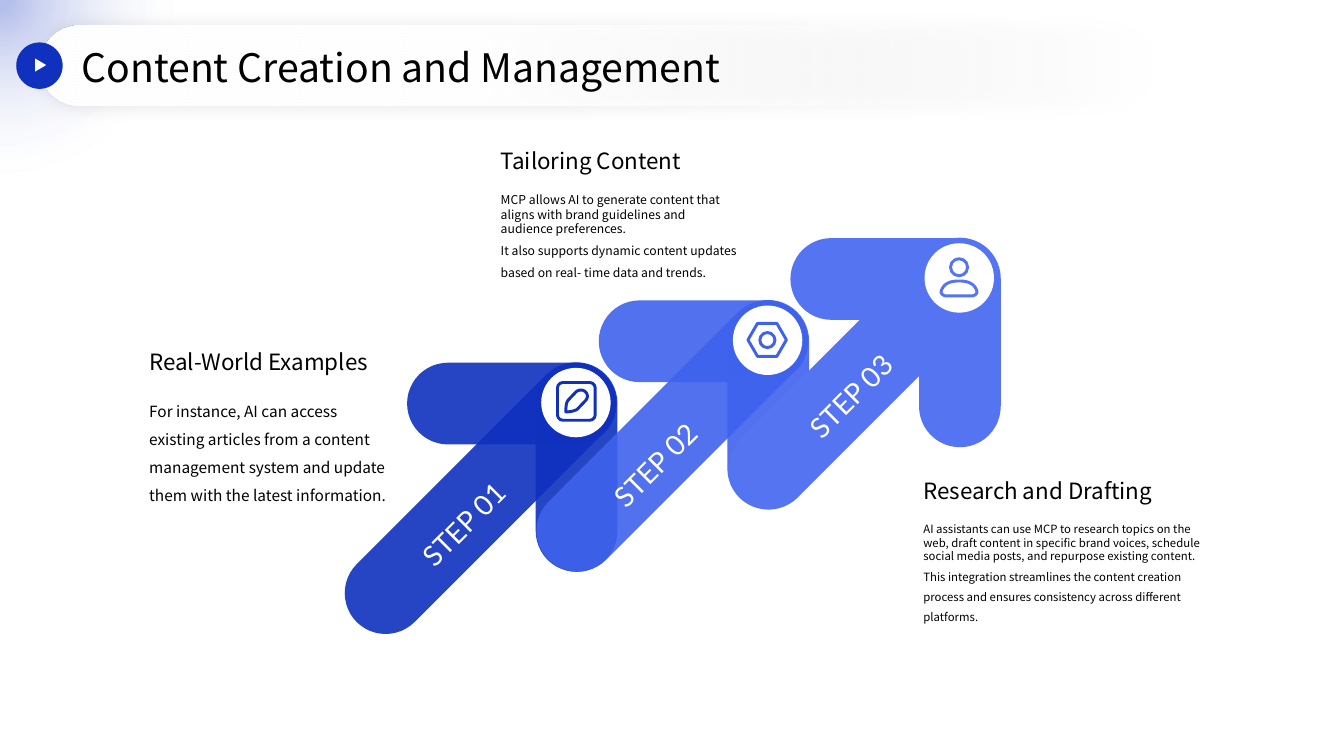
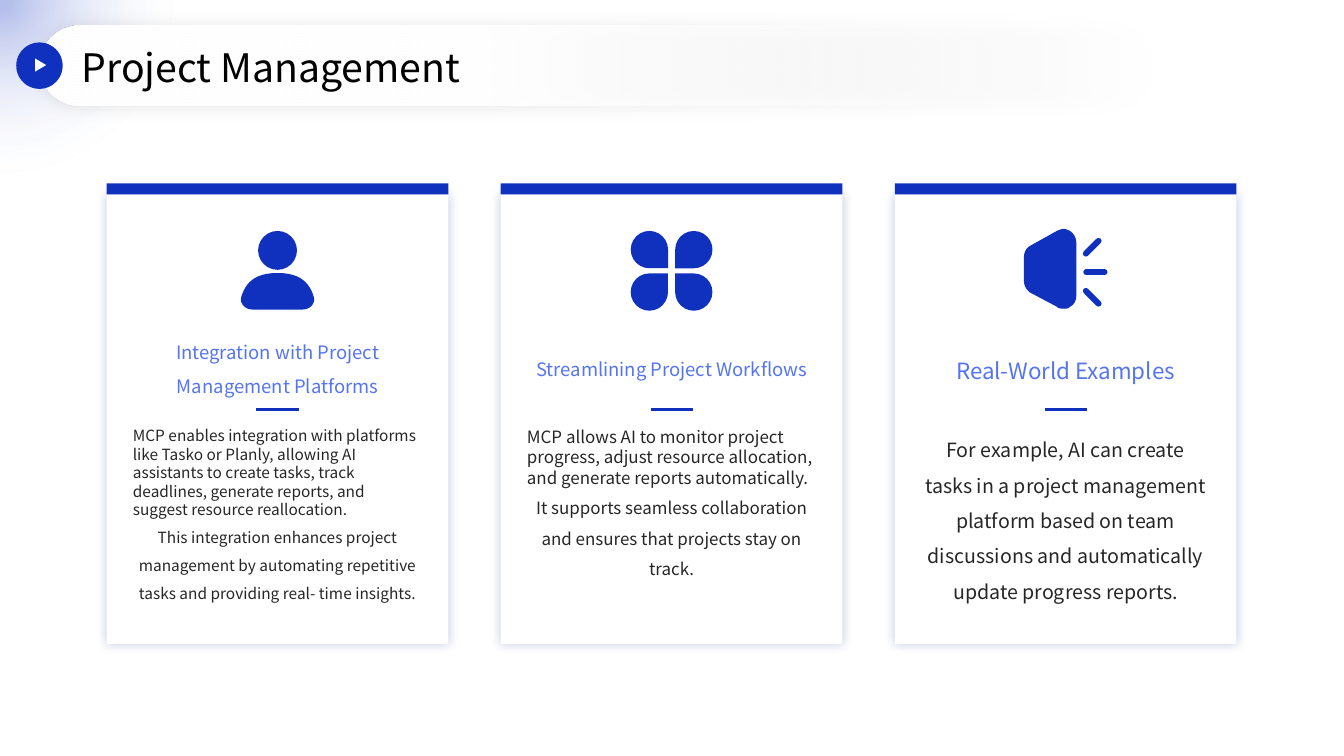
from lxml.etree import SubElement
from pptx import Presentation
from pptx.dml.color import RGBColor
from pptx.enum.shapes import MSO_CONNECTOR, MSO_SHAPE
from pptx.enum.text import MSO_ANCHOR, MSO_AUTO_SIZE, PP_ALIGN
from pptx.oxml.ns import qn
from pptx.util import Cm, Pt

NAVY, ROYAL, SKY = "0F31BE", "3F62ED", "5574F2"
WHITE, BLACK, INK = "FFFFFF", "000000", "262626"
PERSON_BODY = [(0, 0), (.61, 0, .81, .28, .91, .59), (.97, .77, .81, .92, .64, .92),
               (-.64, .92), (-.81, .92, -.97, .77, -.91, .59), (-.81, .28, -.61, 0, 0, 0)]
PEN = [(-.25, .24), (-.25, .03, -.22, -.02, -.19, -.06), (.01, -.27),
       (.08, -.32, .17, -.33, .24, -.27), (.31, -.2, .31, -.11, .24, -.04),
       (.04, .17), (-.01, .21, -.14, .24, -.25, .24)]
MEGAPHONE = [(-.05, 0), (.01, 0, .07, .03, .11, .05), (.22, .13, .27, .23, .27, .36),
             (.27, 1.68), (.27, 1.8, .22, 1.91, .11, 1.96), (.07, 2.01, .01, 2.01, -.05, 2.01),
             (-.11, 2.01, -.17, 2.01, -.22, 1.96), (-.9, 1.6),
             (-1, 1.52, -1.05, 1.42, -1.05, 1.3), (-1.05, .71),
             (-1.05, .61, -1, .48, -.9, .43), (-.22, .05), (-.17, .03, -.11, 0, -.05, 0)]


def rgb(value):
    return RGBColor.from_string(value)


def flatten(segments, steps=12):
    points = [segments[0]]
    for seg in segments[1:]:
        if len(seg) == 2:
            points.append(seg)
            continue
        knots = [points[-1], seg[:2], seg[2:4], seg[4:]]
        for i in range(1, steps + 1):
            t = i / steps
            weights = ((1 - t) ** 3, 3 * t * (1 - t) ** 2, 3 * t * t * (1 - t), t ** 3)
            points.append(tuple(sum(w * k[axis] for w, k in zip(weights, knots))
                                for axis in (0, 1)))
    return points


class Deck:
    font = "Noto Sans CJK SC"

    def __init__(self):
        self.prs = Presentation()
        self.prs.slide_width, self.prs.slide_height = Cm(33.87), Cm(19.05)
        self.s = None

    def color(self, parent, value, alpha=100):
        clr = SubElement(parent, qn("a:srgbClr"), val=value)
        if alpha < 100:
            SubElement(clr, qn("a:alpha"), val=str(alpha * 1000))

    def paint(self, sp, fill=None, alpha=100, line=None, width=2.1):
        sp.shadow.inherit = False
        if fill:
            sp.fill.solid()
            sp.fill.fore_color.rgb = rgb(fill)
            if alpha < 100:
                clr = sp._element.spPr.find(qn("a:solidFill")).find(qn("a:srgbClr"))
                SubElement(clr, qn("a:alpha"), val=str(alpha * 1000))
        else:
            sp.fill.background()
        if line:
            sp.line.color.rgb = rgb(line)
            sp.line.width = Pt(width)
        else:
            sp.line.fill.background()
        return sp

    def shape(self, kind, x, y, w, h, fill=None, rot=0, adj=None, **style):
        sp = self.s.shapes.add_shape(kind, Cm(x), Cm(y), Cm(w), Cm(h))
        sp.rotation = rot
        if adj is not None:
            sp.adjustments[0] = adj
        return self.paint(sp, fill, **style)

    def gradient(self, sp, stops, angle=None):
        spPr = sp._element.spPr
        old = spPr.find(qn("a:noFill"))
        grad = SubElement(spPr, qn("a:gradFill"), rotWithShape="1")
        old.addprevious(grad)
        spPr.remove(old)
        gs_list = SubElement(grad, qn("a:gsLst"))
        for pos, value, alpha in stops:
            self.color(SubElement(gs_list, qn("a:gs"), pos=str(pos * 1000)), value, alpha)
        if angle is None:
            circle = SubElement(grad, qn("a:path"), path="circle")
            SubElement(circle, qn("a:fillToRect"), l="50000", t="50000", r="50000", b="50000")
        else:
            SubElement(grad, qn("a:lin"), ang=str(angle * 60000), scaled="0")

    def shadow(self, sp, value, alpha, blur):
        effects = sp._element.spPr.find(qn("a:effectLst"))
        outer = SubElement(effects, qn("a:outerShdw"), blurRad=str(Pt(blur)), dist="0",
                           dir="0", algn="ctr", rotWithShape="0")
        self.color(outer, value, alpha)

    def outline(self, segments, x, y, sx=1, sy=1, **style):
        points = [(Cm(x + px * sx), Cm(y + py * sy)) for px, py in flatten(segments)]
        builder = self.s.shapes.build_freeform(*points[0], scale=1.0)
        builder.add_line_segments(points[1:], close=True)
        return self.paint(builder.convert_to_shape(), **style)

    def line(self, x1, y1, x2, y2, width, cap="flat"):
        cn = self.s.shapes.add_connector(MSO_CONNECTOR.STRAIGHT, Cm(x1), Cm(y1), Cm(x2), Cm(y2))
        cn.line.color.rgb = rgb(NAVY)
        cn.line.width = Pt(width)
        spPr = cn._element.spPr
        spPr.find(qn("a:ln")).set("cap", cap)
        SubElement(spPr, qn("a:effectLst"))

    def text(self, x, y, w, h, paragraphs, size, color=BLACK, spacing=1.5, inset=(0, 0),
             align=PP_ALIGN.LEFT, anchor=MSO_ANCHOR.TOP, font=None, rot=0):
        sp = self.s.shapes.add_textbox(Cm(x), Cm(y), Cm(w), Cm(h))
        sp.rotation = rot
        tf = sp.text_frame
        tf.word_wrap = True
        tf.auto_size = MSO_AUTO_SIZE.SHAPE_TO_FIT_TEXT if rot else MSO_AUTO_SIZE.NONE
        tf.vertical_anchor = anchor
        tf.margin_left = tf.margin_right = Cm(inset[0])
        tf.margin_top = tf.margin_bottom = Cm(inset[1])
        for i, content in enumerate(paragraphs):
            last = i == len(paragraphs) - 1
            p = tf.add_paragraph() if i else tf.paragraphs[0]
            p.alignment = align if last else PP_ALIGN.LEFT
            p.line_spacing = spacing if last else 1.0
            r = p.add_run()
            r.text = content
            r.font.size = Pt(size)
            r.font.name = font or self.font
            r.font.color.rgb = rgb(color)

    def slide(self, title):
        self.s = self.prs.slides.add_slide(self.prs.slide_layouts[6])
        glow = self.shape(MSO_SHAPE.OVAL, -4.57, -4.57, 9.14, 9.14)
        self.gradient(glow, [(4, NAVY, 30), (72, WHITE, 0)])
        pill = self.shape(MSO_SHAPE.ROUNDED_RECTANGLE, .99, .64, 28.14, 2.01, adj=.5)
        self.gradient(pill, [(0, WHITE, 0), (60, WHITE, 100)], 180)
        self.shadow(pill, BLACK, 10, 13)
        self.text(2.06, 1.04, 20.75, 1.19, [title], 28, spacing=1.1, anchor=MSO_ANCHOR.MIDDLE)
        self.shape(MSO_SHAPE.OVAL, .41, 1.07, 1.17, 1.17, NAVY)
        self.shape(MSO_SHAPE.ISOSCELES_TRIANGLE, .86, 1.5, .33, .28, WHITE, rot=90)

    def person(self, cx, top, head, body_top, sx=1, sy=1, **style):
        self.shape(MSO_SHAPE.OVAL, cx - head / 2, top, head, head, **style)
        self.outline(PERSON_BODY, cx, body_top, sx, sy, **style)

    def bar(self, x, y, length, step, rot=0):
        self.shape(MSO_SHAPE.ROUNDED_RECTANGLE, x, y, length, 2.06, (NAVY, ROYAL, SKY)[step],
                   rot=rot, adj=.5, alpha=100 if step == 2 else 90)

    def topic(self, x, y, w, heading, paragraphs, size):
        self.text(x, y, w, 1.85, [heading], 16, spacing=1.3, anchor=MSO_ANCHOR.MIDDLE)
        self.text(x, y + 1.83, w, 2.6, paragraphs, size)

    def card(self, x, w, heading, heading_size, paragraphs, size):
        cx = x + w / 2
        panel = self.shape(MSO_SHAPE.RECTANGLE, x, 4.9, w, 11.33, WHITE)
        self.shadow(panel, "0B258E", 24, 7)
        self.shape(MSO_SHAPE.RECTANGLE, x, 4.62, w, .28, NAVY)
        box = dict(align=PP_ALIGN.CENTER, inset=(.15, .08))
        self.text(x + .51, 8.38, w - 1.02, 1.57, [heading], heading_size, SKY,
                  anchor=MSO_ANCHOR.MIDDLE, **box)
        self.text(x + .51, 10.67, w - 1.02, 4.8, paragraphs, size, INK, **box)
        self.line(cx - .53, 10.31, cx + .53, 10.31, 2.25)
        return cx


def content_slide(deck):
    deck.slide("Content Creation and Management")
    origins = [(10.26 + 4.83 * i, 9.14 - 1.57 * i) for i in range(3)]
    for step in (2, 1, 0):
        x, y = origins[step]
        deck.bar(x + 1.63, y + 1.6, 5.28, step, rot=90)
    for step in (2, 1, 0):
        x, y = origins[step]
        deck.bar(x - 2.56, y + 2.39, 8.81, step, rot=315)
        deck.bar(x, y, 5.28, step)
        deck.shape(MSO_SHAPE.OVAL, x + 3.38, y + .13, 1.75, 1.75, WHITE)
    pen, nut, user = [(x + 4.25, y + 1) for x, y in origins]
    deck.shape(MSO_SHAPE.ROUNDED_RECTANGLE, pen[0] - .46, pen[1] - .5, .95, .95,
               adj=.14, line=NAVY)
    deck.outline(PEN, *pen, line=NAVY)
    deck.shape(MSO_SHAPE.HEXAGON, nut[0] - .49, nut[1] - .42, .97, .83, adj=.29, line=ROYAL)
    deck.shape(MSO_SHAPE.OVAL, nut[0] - .19, nut[1] - .19, .38, .38, line=ROYAL)
    deck.person(user[0], user[1] - .48, .43, user[1] + .08, .49, .41, line=SKY)
    for i, (x, y) in enumerate([(9.37, 12.6), (14.2, 11.1), (19.13, 9.37)], 1):
        deck.text(x, y, 4.45, 1.04, [f"STEP 0{i}"], 20, WHITE, 1.1, (.25, .13),
                  PP_ALIGN.CENTER, font="Lato", rot=315)
    deck.topic(12.62, 3.02, 6, "Tailoring Content", [
        "MCP allows AI to generate content that aligns with brand guidelines and "
        "audience preferences.",
        "It also supports dynamic content updates based on real- time data and trends."], 8.7)
    deck.topic(3.76, 8.08, 6, "Real-World Examples", [
        "For instance, AI can access existing articles from a content management system "
        "and update them with the latest information."], 11)
    deck.topic(23.27, 11.33, 7.21, "Research and Drafting", [
        "AI assistants can use MCP to research topics on the web, draft content in specific "
        "brand voices, schedule social media posts, and repurpose existing content.",
        "This integration streamlines the content creation process and ensures consistency "
        "across different platforms."], 8.1)


def project_slide(deck):
    deck.slide("Project Management")
    cards = [
        ("Integration with Project Management Platforms", 13.2, [
            "MCP enables integration with platforms like Tasko or Planly, allowing AI assistants "
            "to create tasks, track deadlines, generate reports, and suggest resource "
            "reallocation.",
            "This integration enhances project management by automating repetitive tasks and "
            "providing real- time insights."], 11),
        ("Streamlining Project Workflows", 13.2, [
            "MCP allows AI to monitor project progress, adjust resource allocation, and "
            "generate reports automatically.",
            "It supports seamless collaboration and ensures that projects stay on track."], 12.1),
        ("Real-World Examples", 16, [
            "For example, AI can create tasks in a project management platform based on team "
            "discussions and automatically update progress reports."], 14)]
    user, petals, horn = [deck.card(2.69 + 9.93 * i, 8.61, *card)
                          for i, card in enumerate(cards)]
    deck.person(user, 5.82, .98, 6.88, fill=NAVY)
    for dx, dy, rot in [(-1.03, 0, 90), (.09, 0, 180), (.09, 1.07, 270), (-1.03, 1.07, 0)]:
        deck.shape(MSO_SHAPE.TEAR, petals + dx, 5.82 + dy, .94, .94, NAVY, rot=rot)
    deck.outline(MEGAPHONE, horn, 5.77, fill=NAVY)
    for x1, x2, rise in [(.51, .83, -1), (.52, .98, 0), (.51, .83, 1)]:
        deck.line(horn + x1, 6.86 + .47 * rise, horn + x2, 6.86 + .79 * rise, 4.3, "rnd")


def main():
    deck = Deck()
    content_slide(deck)
    project_slide(deck)
    deck.prs.save("out.pptx")


if __name__ == "__main__":
    main()
